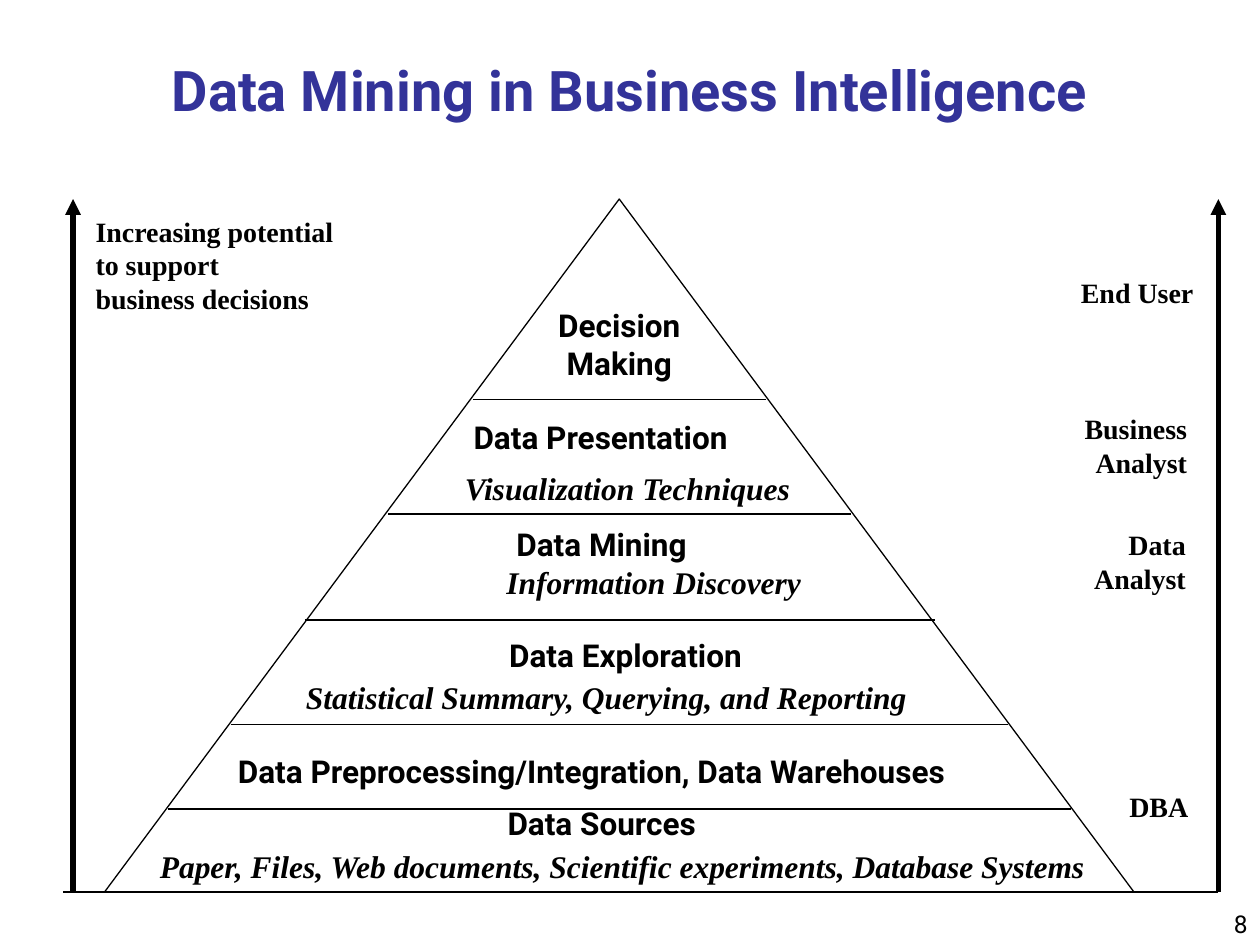
from dataclasses import dataclass

from lxml import etree
from pptx import Presentation
from pptx import util as u
from pptx.dml.color import RGBColor
from pptx.enum import shapes, text
from pptx.oxml import ns


@dataclass(frozen=True)
class Theme:
    ink: RGBColor = RGBColor(0x00, 0x00, 0x00)
    title_ink: RGBColor = RGBColor(0x33, 0x33, 0x99)
    sans: str = "Roboto"
    serif: str = "Times New Roman"
    title_size: int = 32
    level_size: int = 18
    role_size: int = 16
    number_size: int = 14
    thin: float = 0.75
    thick: float = 3


THEME = Theme()
LEFT, CENTER, RIGHT = text.PP_ALIGN.LEFT, text.PP_ALIGN.CENTER, text.PP_ALIGN.RIGHT
APEX, BASE = 1.58, 7.08
AXES = (0.58, 9.67)

DIVIDERS = [
    (3.17, 3.75, 6.08),
    (4.08, 3.08, 6.75),
    (4.92, 2.42, 7.42),
    (5.75, 1.83, 8),
    (6.42, 1.33, 8.5),
    (BASE, 0.5, AXES[1]),
]

LEVELS = [
    ("Decision Making", (4.25, 2.38, 1.33, 0.7), CENTER, True),
    ("Data Presentation", (3.66, 3.27, 2.48, 0.4), LEFT, False),
    ("Data Mining", (4, 4.12, 1.95, 0.4), LEFT, True),
    ("Data Exploration", (3.68, 5, 2.57, 0.4), CENTER, True),
    ("Data Preprocessing/Integration, Data Warehouses", (1.79, 5.92, 6.5, 0.4), LEFT, False),
    ("Data Sources", (3.93, 6.33, 1.83, 0.4), LEFT, False),
]

DETAILS = [
    ("Visualization Techniques", (3.59, 3.67, 2.82, 0.4), False),
    ("Information Discovery", (3.92, 4.42, 2.54, 0.4), False),
    ("Statistical Summary, Querying, and Reporting", (2.33, 5.33, 5, 0.4), True),
    ("Paper, Files, Web documents, Scientific experiments, Database Systems",
     (1.17, 6.67, 7.79, 0.4), True),
]

ROLES = [
    (["Increasing potential", "to support", "business decisions"], (0.66, 1.65, 2.09, 0.9), LEFT),
    (["End User"], (8.48, 2.14, 1.09, 0.37), RIGHT),
    (["Business", "Analyst"], (8.48, 3.22, 1.04, 0.64), RIGHT),
    (["Data", "Analyst"], (8.58, 4.14, 0.93, 0.64), RIGHT),
    (["DBA"], (8.86, 6.22, 0.67, 0.37), RIGHT),
]


def add_run(paragraph, words, size, font, color=THEME.ink, bold=True, italic=False):
    run = paragraph.add_run()
    run.text = words
    run.font.size = u.Pt(size)
    run.font.name = font
    run.font.color.rgb = color
    run.font.bold = bold
    run.font.italic = italic


def add_label(slide, lines, box, size, font, align=LEFT, wrap=False, **style):
    frame = slide.shapes.add_textbox(*map(u.Inches, box)).text_frame
    frame.word_wrap = wrap
    frame.auto_size = text.MSO_AUTO_SIZE.SHAPE_TO_FIT_TEXT
    for index, line in enumerate(lines):
        paragraph = frame.add_paragraph() if index else frame.paragraphs[0]
        paragraph.alignment = align
        add_run(paragraph, line, size, font, **style)
    return frame


def add_line(slide, start, end, width, arrow=False):
    connector = slide.shapes.add_connector(
        shapes.MSO_CONNECTOR.STRAIGHT, *map(u.Inches, start + end))
    connector.line.color.rgb = THEME.ink
    connector.line.width = u.Pt(width)
    if arrow:
        outline = connector.line._get_or_add_ln()
        etree.SubElement(outline, ns.qn("a:tailEnd"), type="triangle")
    etree.SubElement(connector._element.spPr, ns.qn("a:effectLst"))


def add_title(slide, words):
    title = slide.shapes.title
    title.left, title.top, title.width, title.height = map(u.Inches, (0.25, 0.42, 9.5, 0.58))
    frame = title.text_frame
    frame.vertical_anchor = text.MSO_ANCHOR.MIDDLE
    paragraph = frame.paragraphs[0]
    paragraph.alignment = CENTER
    add_run(paragraph, words, THEME.title_size, THEME.sans, THEME.title_ink)


def add_pyramid(slide):
    pyramid = slide.shapes.add_shape(
        shapes.MSO_SHAPE.FLOWCHART_EXTRACT,
        *map(u.Inches, (0.83, APEX, 8.17, BASE - APEX)))
    pyramid.shadow.inherit = False
    pyramid.fill.background()
    pyramid.line.color.rgb = THEME.ink
    pyramid.line.width = u.Pt(THEME.thin)


def add_page_number(slide, number):
    frame = add_label(slide, [number], (7.92, 7, 2.08, 0.5), THEME.number_size,
                      THEME.sans, RIGHT, True, bold=False)
    frame.auto_size = text.MSO_AUTO_SIZE.NONE
    frame.vertical_anchor = text.MSO_ANCHOR.BOTTOM


def main():
    presentation = Presentation()
    presentation.slide_width = u.Inches(10)
    presentation.slide_height = u.Inches(7.5)
    slide = presentation.slides.add_slide(presentation.slide_layouts[5])

    add_title(slide, "Data Mining in Business Intelligence")
    add_pyramid(slide)
    for y, left, right in DIVIDERS:
        add_line(slide, (left, y), (right, y), THEME.thin)
    for x in AXES:
        add_line(slide, (x, BASE), (x, APEX), THEME.thick, arrow=True)
    for lines, box, align in ROLES:
        add_label(slide, lines, box, THEME.role_size, THEME.serif, align)
    for words, box, align, wrap in LEVELS:
        add_label(slide, [words], box, THEME.level_size, THEME.sans, align, wrap)
    for words, box, wrap in DETAILS:
        add_label(slide, [words], box, THEME.level_size, THEME.serif, wrap=wrap, italic=True)
    add_page_number(slide, "8")

    presentation.save("out.pptx")


if __name__ == "__main__":
    main()
